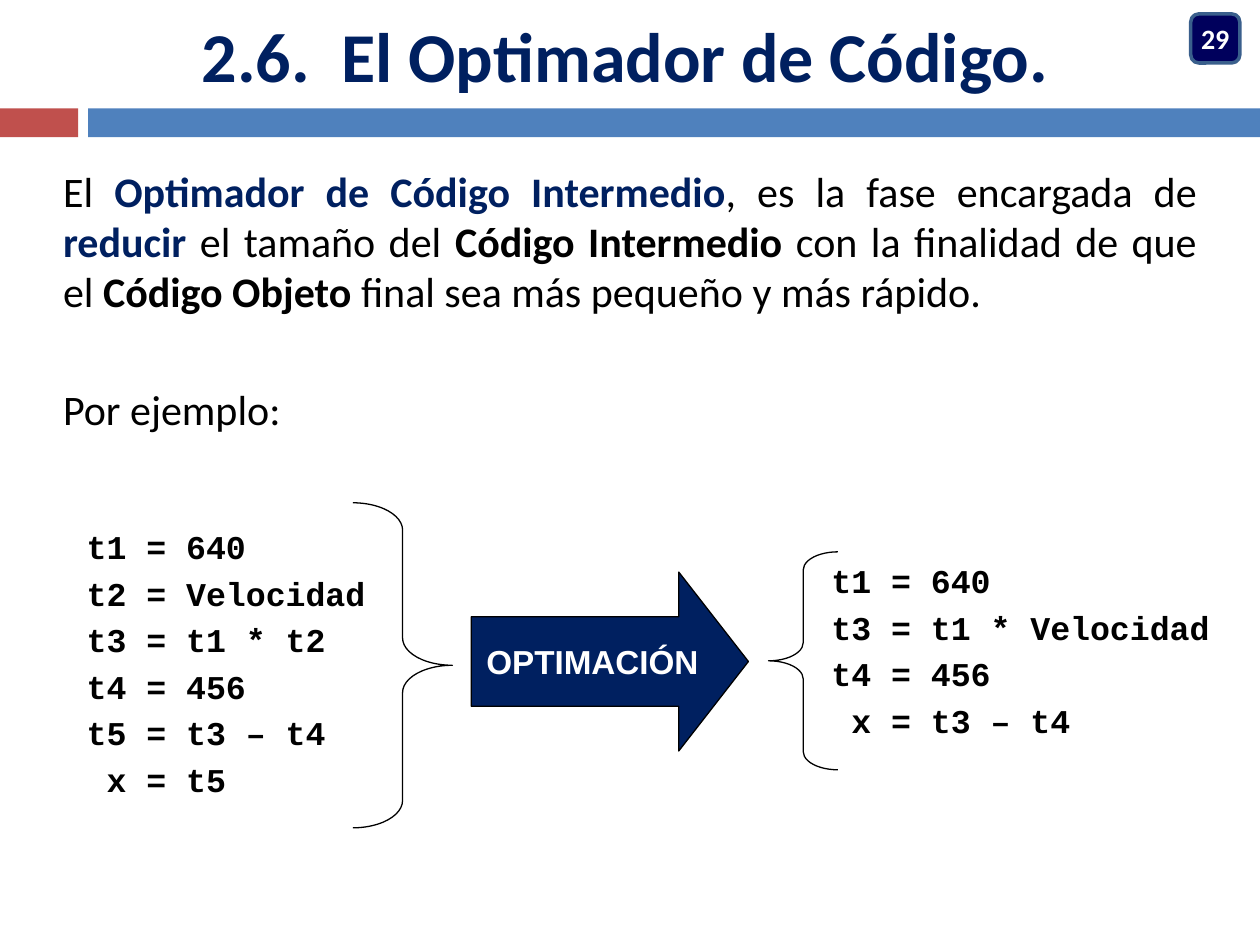
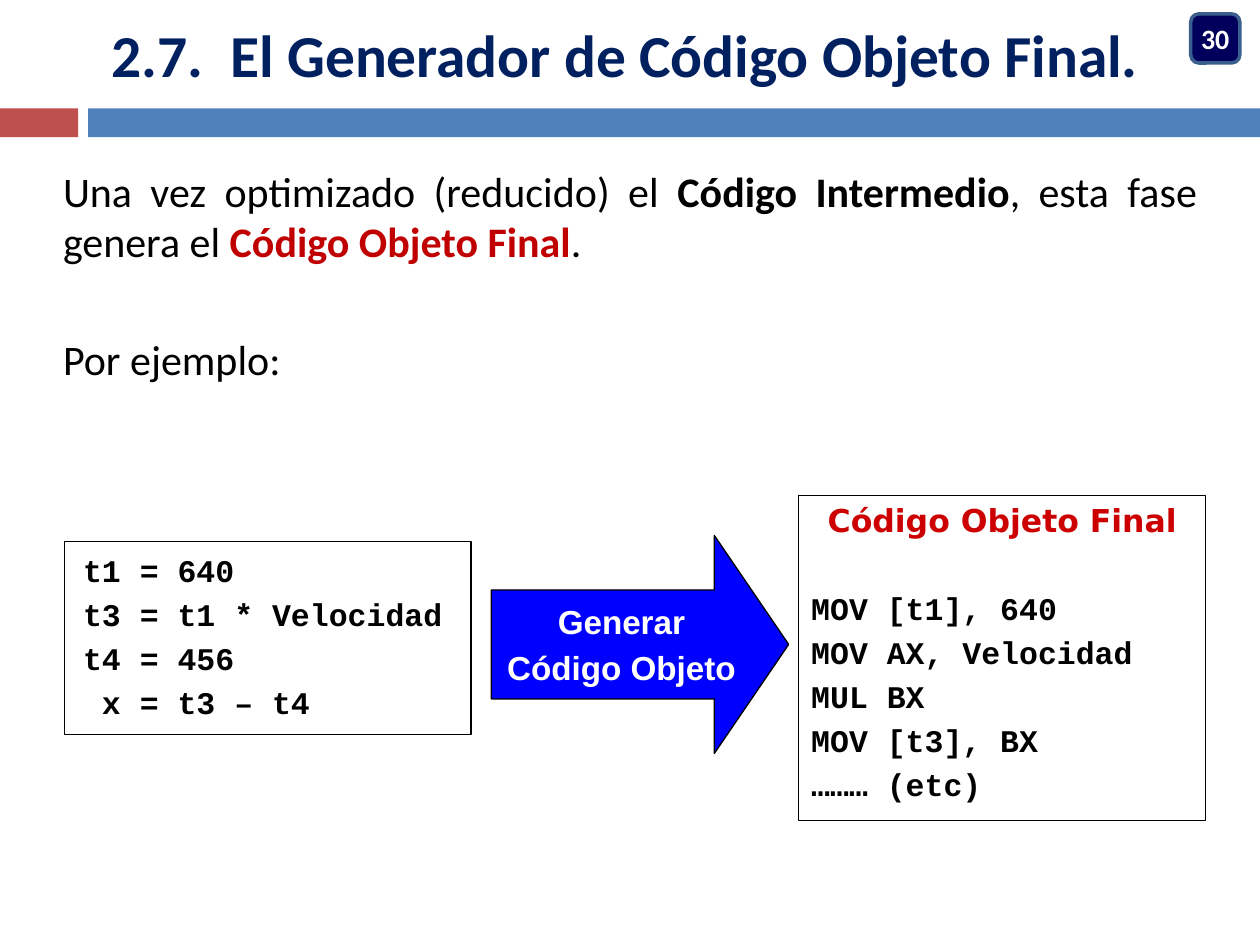
"""Build two slides on the code optimiser and the final object code generator."""
from lxml import etree
from pptx import Presentation
from pptx import util as u
from pptx.dml import color
from pptx.enum import shapes, text
from pptx.oxml import ns

NAVY, BLACK, WHITE, RED = "002060", "000000", "FFFFFF", "C00000"
LEFT, CENTER, JUSTIFY = text.PP_ALIGN.LEFT, text.PP_ALIGN.CENTER, text.PP_ALIGN.JUSTIFY
TOP, MIDDLE = text.MSO_ANCHOR.TOP, text.MSO_ANCHOR.MIDDLE
PRESET = shapes.MSO_SHAPE
ink = color.RGBColor.from_string


def place(slide, preset, box, fill=None, line=None, weight=0.75, adjust=()):
    """Add a preset shape with its fill, outline and adjustments."""
    shape = slide.shapes.add_shape(preset, *map(u.Inches, box))
    shape.shadow.inherit = False
    for i, value in enumerate(adjust):
        shape.adjustments[i] = value
    if fill:
        shape.fill.solid()
        shape.fill.fore_color.rgb = ink(fill)
    else:
        shape.fill.background()
    if line:
        shape.line.color.rgb = ink(line)
        shape.line.width = u.Pt(weight)
    else:
        shape.line.fill.background()
    return shape


def write(shape, lines, face, size, hue, align=LEFT, anchor=TOP, insets=(0.1, 0.05), wrap=True):
    """Fill a shape with bold lines of one style, a fifth of the size apart."""
    frame = shape.text_frame
    frame.text = "\n".join(lines)
    frame.auto_size = text.MSO_AUTO_SIZE.NONE
    frame.word_wrap = wrap
    frame.vertical_anchor = anchor
    frame.margin_left = frame.margin_right = u.Inches(insets[0])
    frame.margin_top = frame.margin_bottom = u.Inches(insets[1])
    for i, paragraph in enumerate(frame.paragraphs):
        paragraph.alignment = align
        paragraph.space_before = u.Pt(0.2 * size if i else 0)
        for run in paragraph.runs:
            run.font.name, run.font.size, run.font.bold = face, u.Pt(size), True
            run.font.color.rgb = ink(hue)
    return frame


deck = Presentation()
deck.slide_width, deck.slide_height = u.Inches(10), u.Inches(7.5)

topics = [
    ("29", "2.6.  El Optimador de Código.", 40, [
        ("El ", BLACK, False), ("Optimador de Código Intermedio", NAVY, True),
        (", es la fase encargada de ", BLACK, False), ("reducir", NAVY, True),
        (" el tamaño del ", BLACK, False), ("Código Intermedio", BLACK, True),
        (" con la finalidad de que el ", BLACK, False), ("Código Objeto", BLACK, True),
        (" final sea más pequeño y más rápido.", BLACK, False)]),
    ("30", "2.7.  El Generador de Código Objeto Final.", 34, [
        ("Una vez optimizado (reducido) el ", BLACK, False),
        ("Código Intermedio", BLACK, True), (", esta fase genera el ", BLACK, False),
        ("Código Objeto Final", RED, True), (".", BLACK, False)]),
]

for number, heading, heading_size, explanation in topics:
    slide = deck.slides.add_slide(deck.slide_layouts[1])
    place(slide, PRESET.RECTANGLE, (0, 0.86, 0.62, 0.23), "C0504D")
    place(slide, PRESET.RECTANGLE, (0.7, 0.86, 9.3, 0.23), "4F81BD")

    title, body = slide.placeholders
    title.left, title.top, title.width, title.height = map(u.Inches, (0, 0, 9.92, 0.86))
    write(title, [heading], "Calibri", heading_size, NAVY, CENTER, MIDDLE, (0, 0))

    badge = place(slide, PRESET.ROUNDED_RECTANGLE, (9.45, 0.11, 0.39, 0.39),
                  "00005C", "3A5F8C", 2)
    write(badge, [number], "Calibri", 16, WHITE, CENTER, MIDDLE, (0, 0.05))

    body.left, body.top, body.width, body.height = map(u.Inches, (0.5, 1.31, 9, 2.2))
    frame = write(body, ["", "Por ejemplo:"], "Calibri", 24, BLACK, JUSTIFY, insets=(0, 0))
    definition, example = frame.paragraphs
    for words, hue, bold in explanation:
        run = definition.add_run()
        run.text = words
        run.font.name, run.font.size, run.font.bold = "Calibri", u.Pt(24), bold
        run.font.color.rgb = ink(hue)
    example.runs[0].font.bold = False
    example.space_before = u.Pt(38.5)
    for paragraph in (definition, example):
        properties = paragraph._p.get_or_add_pPr()
        properties.set("marL", "0")
        properties.set("indent", "0")
        etree.SubElement(properties, ns.qn("a:buNone"))

optimiser, generator = deck.slides

intermediate = ["t1 = 640", "t2 = Velocidad", "t3 = t1 * t2", "t4 = 456",
                "t5 = t3 – t4", " x = t5"]
reduced = ["t1 = 640", "t3 = t1 * Velocidad", "t4 = 456", " x = t3 – t4"]
for code, box in ((intermediate, (0.59, 4.13, 2.53, 2.43)),
                  (reduced, (6.5, 4.4, 3.35, 1.63))):
    listing = optimiser.shapes.add_textbox(*map(u.Inches, box))
    write(listing, code, "Courier New", 19, BLACK)
place(optimiser, PRESET.RIGHT_BRACE, (2.8, 3.99, 0.79, 2.58), line=BLACK, adjust=(0.275, 0.5))
place(optimiser, PRESET.LEFT_BRACE, (6.1, 4.38, 0.55, 1.73), line=BLACK, adjust=(0.262, 0.5))

source_code = place(generator, PRESET.RECTANGLE, (0.51, 4.3, 3.23, 1.53), line=BLACK)
write(source_code, [" " + line for line in reduced], "Courier New", 18, BLACK,
      insets=(0, 0.07))

object_code = place(generator, PRESET.RECTANGLE, (6.34, 3.93, 3.23, 2.58), line=BLACK)
frame = write(object_code, ["Código Objeto Final", "MOV [t1], 640", "MOV AX, Velocidad",
                            "MUL BX", "MOV [t3], BX", "……… (etc)"],
              "Courier New", 18, BLACK)
caption, first_instruction = frame.paragraphs[:2]
caption.alignment = CENTER
caption.runs[0].font.name = "DejaVu Sans"
caption.runs[0].font.color.rgb = ink("CC0000")
first_instruction.space_before = u.Pt(28.5)

for slide, box, head, fill, label in (
        (optimiser, (3.74, 4.54, 2.2, 1.42), 0.389, NAVY, ["OPTIMACIÓN"]),
        (generator, (3.9, 4.25, 2.36, 1.73), 0.341, "0000FF", ["Generar", "Código Objeto"])):
    step = place(slide, PRESET.RIGHT_ARROW, box, fill, BLACK, adjust=(0.5, head))
    write(step, label, "Arial", 19, WHITE, CENTER, MIDDLE, wrap=False)

deck.save("out.pptx")
